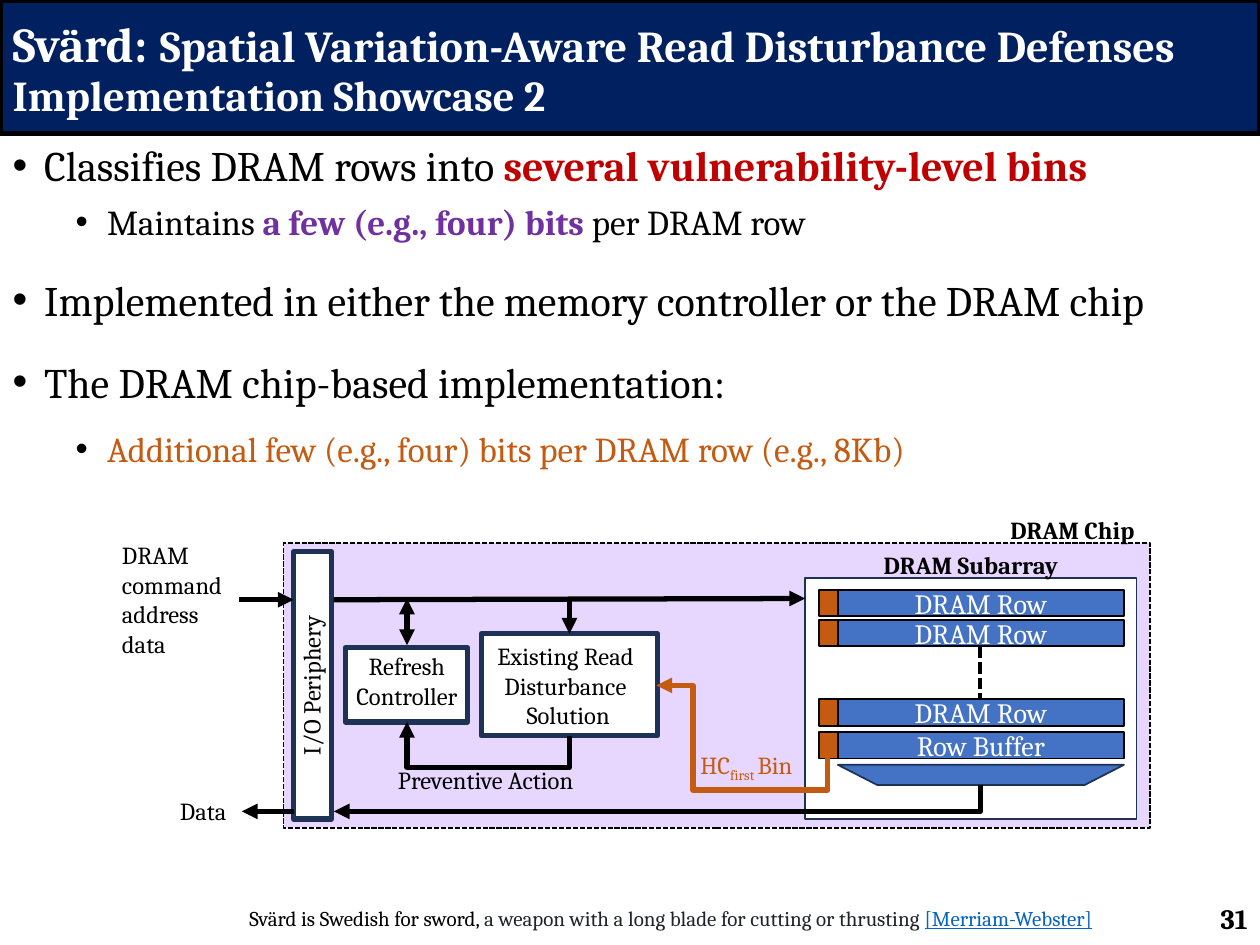
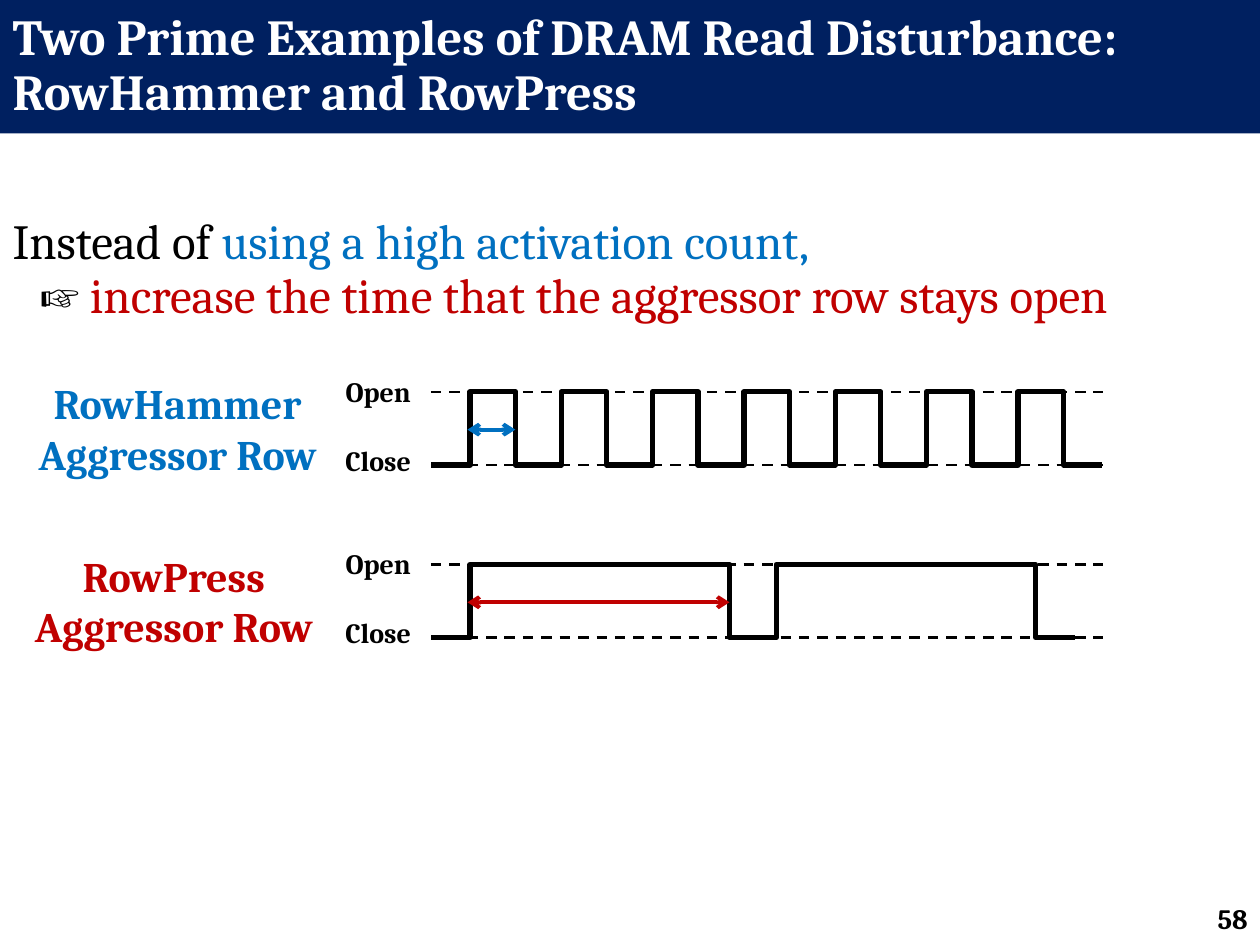
from lxml import etree
from pptx import Presentation
from pptx import util as u
from pptx.dml.color import RGBColor
from pptx.enum import dml, shapes, text
from pptx.oxml.ns import qn

FONT = "Cambria"
BLACK, WHITE, NAVY, EDGE = "000000", "FFFFFF", "002060", "1E3256"
RED, BLUE, PURPLE, ORANGE = "C00000", "0070C0", "7030A0", "C55A11"
CELL, LILAC = "4472C4", "E7D7FF"
LEFT, CENTER, RIGHT = text.PP_ALIGN.LEFT, text.PP_ALIGN.CENTER, text.PP_ALIGN.RIGHT
TOP, MIDDLE = text.MSO_ANCHOR.TOP, text.MSO_ANCHOR.MIDDLE
RECT, TRAPEZOID = shapes.MSO_SHAPE.RECTANGLE, shapes.MSO_SHAPE.TRAPEZOID
STRAIGHT, ELBOW = shapes.MSO_CONNECTOR.STRAIGHT, shapes.MSO_CONNECTOR.ELBOW
DASH, SHORT_DASH = dml.MSO_LINE.DASH, dml.MSO_LINE.SQUARE_DOT

SVARD_TITLE = [[
    ("Svärd:", {"size": 27.9}), (" ", {"size": 32.4}),
    ("Spatial Variation-Aware Read Disturbance Defenses", {"size": 25.2}), "\n",
    ("Implementation Showcase 2", {"size": 24.3}),
]]
SVARD_POINTS = [
    (0, 0, 6, ["Classifies DRAM rows into ",
               ("several vulnerability-level bins", {"color": RED, "bold": True})]),
    (1, 0, 6, ["Maintains ", ("a few (e.g., four) bits", {"color": PURPLE, "bold": True}),
               " per DRAM row"]),
    (0, 12, 6, ["Implemented in either the memory controller or the DRAM chip"]),
    (0, 12, 0, ["The DRAM chip-based implementation:"]),
    (1, 12, 6, [("Additional few (e.g., four) bits per DRAM row (e.g., 8Kb)",
                 {"color": ORANGE})]),
]
POINT_STYLES = [(24, 0.25), (20, 0.75)]
FOOTNOTE = [["Svärd is Swedish for sword, ",
             ("a weapon with a long blade for cutting or thrusting ", {"color": "212529"}),
             ("[Merriam-Webster]", {"color": "0563C1", "underline": True})]]

CHIP_BLOCKS = [
    ((2.25, 4.31, 6.88, 2.26), LILAC, BLACK, 1),
    ((2.33, 4.38, 0.3, 2.12), WHITE, EDGE, 3),
    ((3.82, 5.03, 1.4, 0.81), WHITE, EDGE, 3),
    ((2.74, 5.14, 0.97, 0.59), WHITE, EDGE, 3),
    ((6.39, 4.59, 2.63, 1.91), WHITE, EDGE, 1),
]
CHIP_LABELS = [
    ((1.33, 6.27, 0.59, 0.34), ["Data"], {}),
    ((0.87, 4.24, 1.03, 1.04), ["DRAM", "command", "address", "data"], {}),
    ((7.92, 4.04, 1.22, 0.34), ["DRAM Chip"], {"bold": True}),
    ((1.41, 5.27, 2.12, 0.34), ["I/O Periphery"], {"align": CENTER, "turn": 270}),
    ((3.81, 5.04, 1.4, 0.81), ["Existing Read ", "Disturbance ", "Solution"],
     {"align": CENTER}),
    ((2.7, 5.12, 1.06, 0.57), ["Refresh", "Controller"], {"align": CENTER}),
    ((3.06, 6.02, 1.68, 0.34), ["Preventive Action"], {}),
    ((6.39, 4.32, 2.63, 0.34), ["DRAM Subarray"], {"bold": True, "align": CENTER}),
]
HC_BIN = [["HC", ("first ", {"baseline": -25000}), "Bin"]]
SUBARRAY_ROWS = [(4.68, "DRAM Row"), (4.92, "DRAM Row"), (5.55, "DRAM Row"),
                 (5.81, "Row Buffer")]
CHIP_ARROWS = [
    ((2.65, 4.76), (6.39, 4.75), None),
    ((1.9, 4.76), (2.33, 4.76), None),
    ((4.52, 4.75), (4.52, 5.03), None),
    ((3.23, 4.75), (3.23, 5.12), "triangle"),
    ((2.33, 6.44), (1.92, 6.44), None),
]
CHIP_ROUTES = [
    ([(4.52, 5.84), (4.52, 6.09), (3.23, 6.09), (3.23, 5.73)], BLACK),
    ([(6.57, 6.02), (6.57, 6.27), (5.5, 6.27), (5.5, 5.44), (5.21, 5.44)], ORANGE),
    ([(7.78, 6.23), (7.78, 6.44), (2.65, 6.44)], BLACK),
]

PRESS_TITLE = [["Two Prime Examples of DRAM Read Disturbance: RowHammer and RowPress"]]
PRESS_IDEAS = [
    ((0, 1.06, 10, 5.84), 0.66,
     [["Instead of ", ("using a high activation count,", {"color": BLUE})]]),
    ((0.22, 1.08, 9.69, 5.94), 1.07,
     [["☞ ", ("increase the time that the aggressor row stays open", {"color": RED})]]),
]
WAVE_START, WAVE_RISE, WAVE_END, WAVE_HEIGHT = 3.42, 3.73, 8.75, 0.58
EDGE_REACH = 0.31
WAVES = [
    {"name": "RowHammer", "color": BLUE, "left": 0.16, "top": 3.11,
     "period": 0.725, "open": 0.36, "count": 7},
    {"name": "RowPress", "color": RED, "left": 0.13, "top": 4.48,
     "period": 2.43, "open": 2.06, "count": 2},
]


def rgb(color):
    return RGBColor.from_string(color)


def place(shape, box):
    shape.left, shape.top, shape.width, shape.height = map(u.Inches, box)


def paint(shape, color):
    shape.fill.solid()
    shape.fill.fore_color.rgb = rgb(color)


def write(frame, paragraphs, size, color=BLACK, bold=False, align=LEFT, anchor=TOP):
    frame.word_wrap = True
    frame.auto_size = text.MSO_AUTO_SIZE.NONE
    frame.vertical_anchor = anchor
    for index, parts in enumerate(paragraphs):
        paragraph = frame.add_paragraph() if index else frame.paragraphs[0]
        paragraph.alignment = align
        for part in parts:
            if part == "\n":
                paragraph.add_line_break()
                continue
            words, changes = (part, {}) if isinstance(part, str) else part
            run = paragraph.add_run()
            run.text = words
            run.font.name = FONT
            run.font.size = u.Pt(changes.get("size", size))
            run.font.bold = changes.get("bold", bold)
            run.font.underline = changes.get("underline")
            run.font.color.rgb = rgb(changes.get("color", color))
            if "baseline" in changes:
                run.font._element.set("baseline", str(changes["baseline"]))


def indent(paragraph, left, hang, bullet=None):
    props = paragraph._p.get_or_add_pPr()
    props.set("marL", str(u.Inches(left)))
    props.set("indent", str(u.Inches(hang)))
    if bullet is None:
        etree.SubElement(props, qn("a:buNone"))
        return
    tint = etree.SubElement(props, qn("a:buClr"))
    etree.SubElement(tint, qn("a:srgbClr"), val=BLACK)
    etree.SubElement(props, qn("a:buFont"), typeface="Arial")
    etree.SubElement(props, qn("a:buChar"), char=bullet)


def stroke(shape, color, width, dash=None, head=None, tail=None):
    shape.line.color.rgb = rgb(color)
    shape.line.width = u.Pt(width)
    if dash:
        shape.line.dash_style = dash
    outline = shape._element.spPr.find(qn("a:ln"))
    for tag, kind in (("a:headEnd", head), ("a:tailEnd", tail)):
        if kind:
            etree.SubElement(outline, qn(tag), type=kind)


def block(slide, box, fill, edge, width, dash=None, kind=RECT):
    shape = slide.shapes.add_shape(kind, *map(u.Inches, box))
    shape.shadow.inherit = False
    paint(shape, fill)
    stroke(shape, edge, width, dash)
    return shape


def label(slide, box, paragraphs, size, turn=0, fill=None, **style):
    shape = slide.shapes.add_textbox(*map(u.Inches, box))
    shape.rotation = turn
    if fill:
        paint(shape, fill)
    write(shape.text_frame, paragraphs, size, **style)
    return shape


def line(slide, start, end, color=BLACK, width=3, kind=STRAIGHT, **ends):
    shape = slide.shapes.add_connector(kind, *map(u.Inches, start + end))
    stroke(shape, color, width, **ends)
    etree.SubElement(shape._element.spPr, qn("a:effectLst"))


def route(slide, points, color=BLACK, **ends):
    corners = [tuple(map(u.Inches, point)) for point in points]
    builder = slide.shapes.build_freeform(*corners[0])
    builder.add_line_segments(corners[1:], close=False)
    shape = builder.convert_to_shape()
    shape.shadow.inherit = False
    shape.fill.background()
    stroke(shape, color, 3, **ends)


def start_slide(deck, title, number, title_size):
    slide = deck.slides.add_slide(deck.slide_layouts[1])
    band = slide.shapes.title
    place(band, (0, 0, 10, 1.06))
    paint(band, NAVY)
    write(band.text_frame, title, title_size, WHITE, True, anchor=MIDDLE)
    band.text_frame.paragraphs[0].line_spacing = 0.9
    label(slide, (7.75, 7.09, 2.25, 0.4), [[str(number)]], 16, bold=True,
          align=RIGHT, anchor=MIDDLE)
    return slide


def svard_slide(deck):
    slide = start_slide(deck, SVARD_TITLE, 31, 25.2)
    stroke(slide.shapes.title, BLACK, 3)
    points = slide.placeholders[1]
    place(points, (0, 1.06, 10, 5.84))
    lines = [[(part, {"size": POINT_STYLES[level][0]}) if isinstance(part, str)
              else (part[0], {"size": POINT_STYLES[level][0], **part[1]})
              for part in parts] for level, _, _, parts in SVARD_POINTS]
    write(points.text_frame, lines, 24)
    for paragraph, (level, before, after, _) in zip(points.text_frame.paragraphs,
                                                    SVARD_POINTS):
        paragraph.level = level
        indent(paragraph, POINT_STYLES[level][1], -0.25, "•")
        paragraph.space_before, paragraph.space_after = u.Pt(before), u.Pt(after)

    for index, (box, fill, edge, width) in enumerate(CHIP_BLOCKS):
        block(slide, box, fill, edge, width, None if index else SHORT_DASH)
    for top, name in SUBARRAY_ROWS:
        row = block(slide, (6.65, top, 2.27, 0.21), CELL, BLACK, 1)
        write(row.text_frame, [[name]], 16, WHITE, align=CENTER, anchor=MIDDLE)
        block(slide, (6.5, top, 0.15, 0.21), ORANGE, BLACK, 1)
    selector = block(slide, (6.65, 6.07, 2.27, 0.16), CELL, EDGE, 1, kind=TRAPEZOID)
    selector.adjustments[0] = 1.95
    selector.rotation = 180
    line(slide, (7.78, 5.13), (7.78, 5.55), width=2.25, dash=SHORT_DASH)
    for start, end, head in CHIP_ARROWS:
        line(slide, start, end, head=head, tail="triangle")
    for corners, color in CHIP_ROUTES:
        route(slide, corners, color, tail="triangle")
    for box, lines, style in CHIP_LABELS:
        label(slide, box, [[words] for words in lines], 14, **style)
    label(slide, (5.46, 5.9, 0.99, 0.34), HC_BIN, 14, color=ORANGE)
    label(slide, (1.88, 7.14, 7.29, 0.3), FOOTNOTE, 12)


def draw_wave(slide, wave):
    top, bottom = wave["top"], wave["top"] + WAVE_HEIGHT
    label(slide, (wave["left"], top - 0.16, 2.5, 0.91), [[wave["name"]], ["Aggressor Row"]],
          24, fill=WHITE, color=wave["color"], bold=True, align=CENTER)
    for state, level, offset in (("Open", top, -0.19), ("Close", bottom, -0.22)):
        line(slide, (WAVE_START, level), (WAVE_END, level), width=1.5, dash=DASH)
        label(slide, (2.61, level + offset, 0.75, 0.37), [[state]], 16,
              fill=WHITE, bold=True, align=RIGHT)
    for pulse in range(wave["count"]):
        rise = WAVE_RISE + pulse * wave["period"]
        fall = rise + wave["open"]
        for crossing, reach in ((rise, -EDGE_REACH), (fall, EDGE_REACH)):
            line(slide, (crossing - reach, top), (crossing + reach, bottom), kind=ELBOW)
        if wave["open"] > 2 * EDGE_REACH:
            line(slide, (rise + 0.25, top), (fall - 0.19, top))
    line(slide, (WAVE_RISE - 0.02, top + 0.3), (WAVE_RISE + wave["open"], top + 0.3),
         wave["color"], 2.25, head="arrow", tail="arrow")


def press_slide(deck):
    slide = start_slide(deck, PRESS_TITLE, 58, 28.8)
    for wave in WAVES:
        draw_wave(slide, wave)
    (idea_box, idea_drop, idea), (remedy_box, remedy_drop, remedy) = PRESS_IDEAS
    premise = slide.placeholders[1]
    place(premise, idea_box)
    write(premise.text_frame, idea, 28)
    answer = label(slide, remedy_box, remedy, 28)
    for part, drop in ((premise, idea_drop), (answer, remedy_drop)):
        part.text_frame.margin_top = u.Inches(drop)
        paragraph = part.text_frame.paragraphs[0]
        indent(paragraph, 0, 0)
        paragraph.line_spacing = 0.9
        paragraph.space_before = u.Pt(0)


def main():
    deck = Presentation()
    deck.slide_width, deck.slide_height = u.Inches(10), u.Inches(7.5)
    svard_slide(deck)
    press_slide(deck)
    deck.save("out.pptx")


if __name__ == "__main__":
    main()
